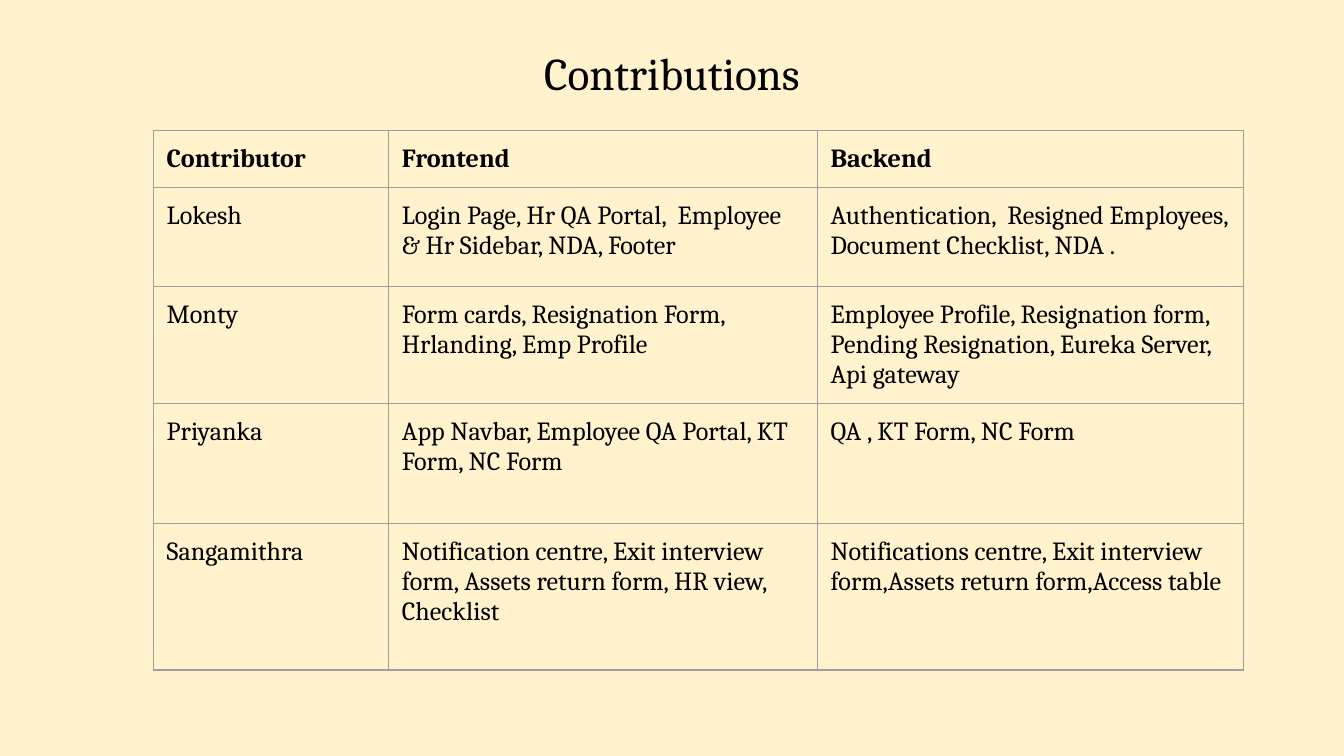
from lxml.etree import SubElement
from pptx import Presentation
from pptx.dml.color import RGBColor
from pptx.enum.text import MSO_ANCHOR as Anchor, PP_ALIGN as Align
from pptx.oxml.ns import qn
from pptx.util import Inches, Pt

WIDTH = 10
HEIGHT = WIDTH * 9 / 16
COLORS = {"background": "FFF2CC", "text": "000000", "border": "9E9E9E"}
FONT = "Cambria"
TITLE_ONLY = 5

CONTRIBUTIONS = [
    ("Contributor", "Frontend", "Backend"),
    ("Lokesh",
     "Login Page, Hr QA Portal,  Employee & Hr Sidebar, NDA, Footer",
     "Authentication,  Resigned Employees, Document Checklist, NDA ."),
    ("Monty",
     "Form cards, Resignation Form, Hrlanding, Emp Profile",
     "Employee Profile, Resignation form, Pending Resignation, Eureka Server, Api gateway"),
    ("Priyanka",
     "App Navbar, Employee QA Portal, KT Form, NC Form",
     "QA , KT Form, NC Form"),
    ("Sangamithra",
     "Notification centre, Exit interview form, Assets return form, HR view, Checklist",
     "Notifications centre, Exit interview form,Assets return form,Access table"),
]
COLUMN_WIDTHS = [1.75, 3.19, 3.17]
ROW_HEIGHTS = [0.42, 0.74, 0.87, 0.89, 1.09]


def write(frame, text, size=14, bold=False, align=Align.LEFT, anchor=Anchor.TOP):
    """Put one formatted paragraph into a text frame."""
    frame.word_wrap = True
    frame.vertical_anchor = anchor
    paragraph = frame.paragraphs[0]
    paragraph.alignment = align
    run = paragraph.add_run()
    run.text = text
    run.font.name = FONT
    run.font.size = Pt(size)
    run.font.bold = bold
    run.font.color.rgb = RGBColor.from_string(COLORS["text"])


class Deck:
    """Holds the slide and its style; places are shares of the slide's size."""

    def __init__(self):
        self.prs = Presentation()
        self.prs.slide_width, self.prs.slide_height = Inches(WIDTH), Inches(HEIGHT)
        self.slide = self.prs.slides.add_slide(self.prs.slide_layouts[TITLE_ONLY])
        fill = self.slide.background.fill
        fill.solid()
        fill.fore_color.rgb = RGBColor.from_string(COLORS["background"])

    def across(self, share):
        return round(self.prs.slide_width * share)

    def down(self, share):
        return round(self.prs.slide_height * share)

    def title(self, text, top, height, margin):
        heading = self.slide.shapes.title
        heading.left, heading.top = self.across(margin), self.down(top)
        heading.width, heading.height = self.across(1 - 2 * margin), self.down(height)
        frame = heading.text_frame
        frame.margin_left = frame.margin_right = 0
        frame.margin_top = frame.margin_bottom = Inches(0.1)
        write(frame, text, size=24.3, align=Align.CENTER, anchor=Anchor.MIDDLE)

    def table(self, rows, left, top, widths, heights):
        table = self.slide.shapes.add_table(
            len(rows), len(widths), self.across(left), self.down(top),
            self.across(sum(widths)), self.down(sum(heights))).table
        table.horz_banding = False
        for column, width in zip(table.columns, widths):
            column.width = self.across(width)
        for row, height in zip(table.rows, heights):
            row.height = self.down(height)
        for r, texts in enumerate(rows):
            for c, text in enumerate(texts):
                self.cell(table.cell(r, c), text, bold=r == 0)

    def cell(self, cell, text, bold):
        cell.margin_left = cell.margin_right = Inches(0.1)
        cell.margin_top = cell.margin_bottom = Inches(0.1)
        write(cell.text_frame, text, bold=bold)
        # Borders precede the fill in the cell properties
        properties = cell._tc.get_or_add_tcPr()
        for side in ("L", "R", "T", "B"):
            line = SubElement(properties, qn(f"a:ln{side}"), w=str(Pt(0.75)))
            solid = SubElement(line, qn("a:solidFill"))
            SubElement(solid, qn("a:srgbClr"), val=COLORS["border"])
        cell.fill.background()


def main():
    deck = Deck()

    # Heading
    deck.title("Contributions", top=0.22 / HEIGHT, height=0.63 / HEIGHT,
               margin=0.34 / WIDTH)

    # Who built what
    deck.table(CONTRIBUTIONS, left=1.14 / WIDTH, top=0.97 / HEIGHT,
               widths=[width / WIDTH for width in COLUMN_WIDTHS],
               heights=[height / HEIGHT for height in ROW_HEIGHTS])

    deck.prs.save("out.pptx")


if __name__ == "__main__":
    main()
